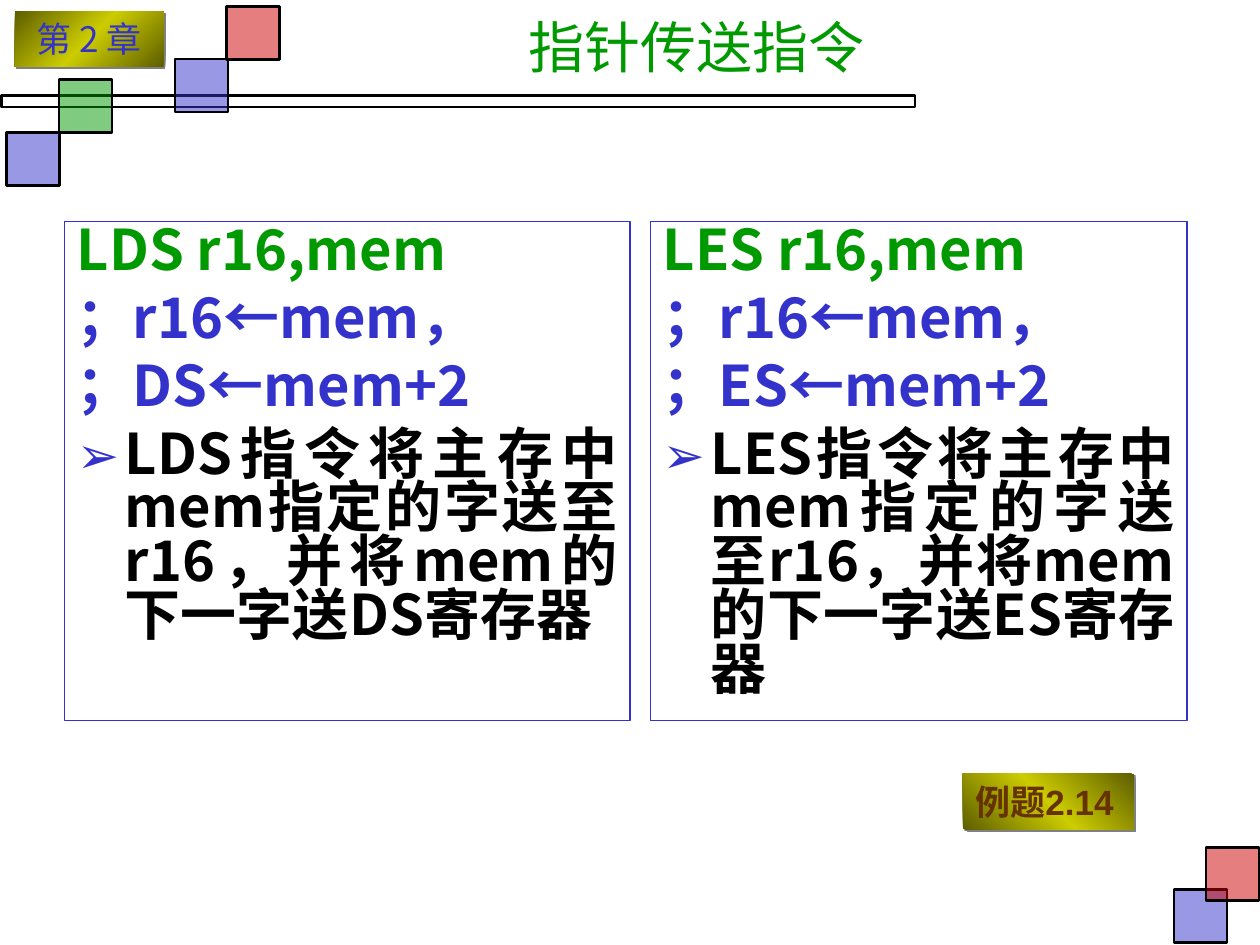
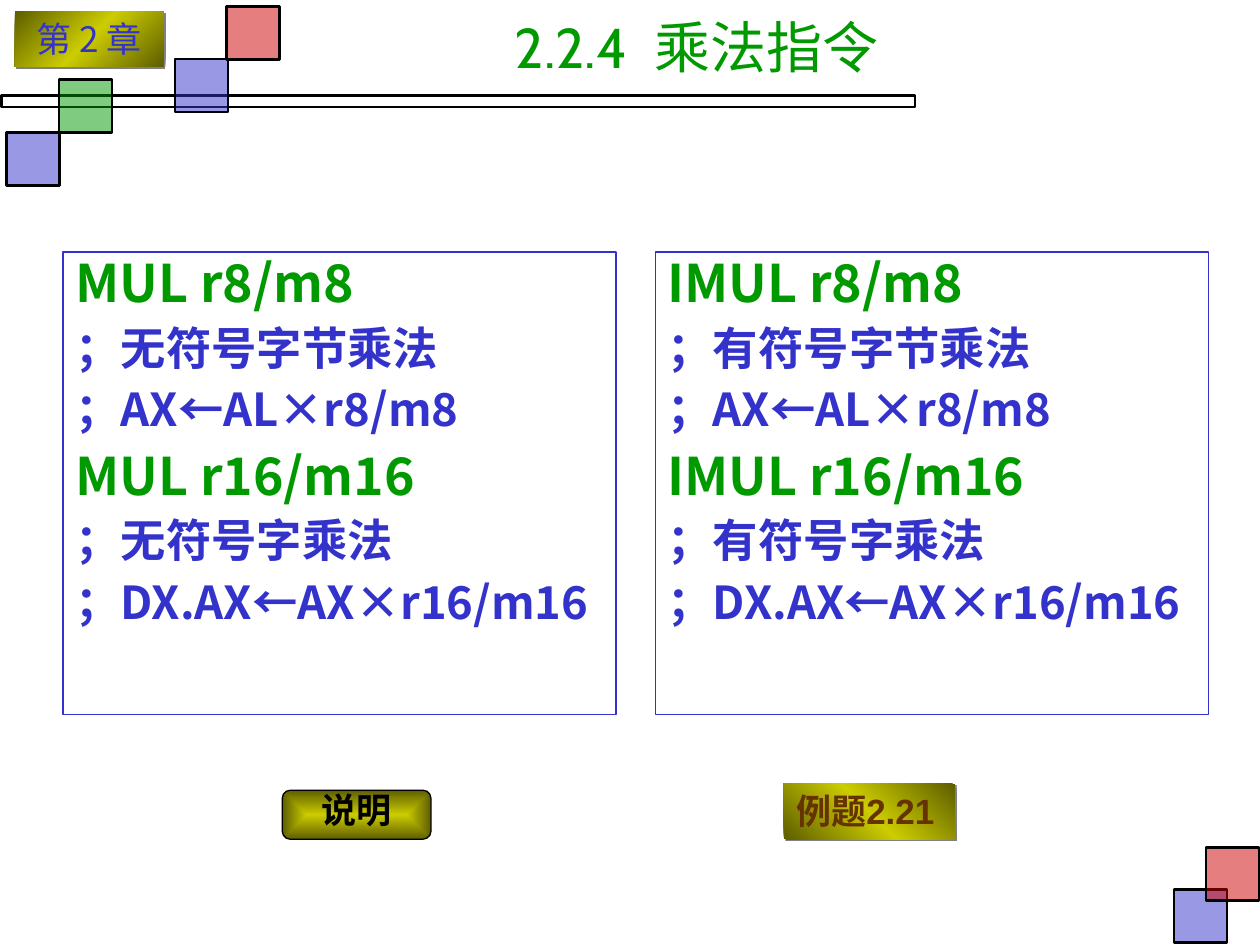
from lxml import etree
from pptx import Presentation
from pptx.dml.color import RGBColor
from pptx.enum.shapes import MSO_SHAPE
from pptx.enum.text import MSO_ANCHOR, PP_ALIGN
from pptx.oxml import parse_xml
from pptx.oxml.ns import qn
from pptx.util import Cm, Pt

RECTANGLE = MSO_SHAPE.RECTANGLE
ROUNDED = MSO_SHAPE.ROUNDED_RECTANGLE
TOP, MIDDLE = MSO_ANCHOR.TOP, MSO_ANCHOR.MIDDLE
LEFT, CENTER, JUSTIFY = PP_ALIGN.LEFT, PP_ALIGN.CENTER, PP_ALIGN.JUSTIFY

COLORS = {
    "white": "FFFFFF",
    "black": "000000",
    "blue": "3333CC",
    "green": "009900",
    "red": "CC0000",
    "brown": "663300",
    "gold": "CCCC00",
    "olive": "5E5E00",
    "shadow": "808080",
}
BODY_FONT = "Noto Sans CJK SC"
CHAPTER_FONT = "Noto Sans CJK JP"
TITLE_FONT = "Cabin"
BUTTON_FONT = "Arial"
NAMESPACE = 'xmlns:a="http://schemas.openxmlformats.org/drawingml/2006/main"'
DIAGONAL_STOPS = [(0, "olive"), (50, "gold"), (100, "olive")]
CENTER_STOPS = [(0, "gold"), (100, "olive")]
CENTER_PATH = (
    '<a:path path="rect"><a:fillToRect l="50000" t="50000" r="50000" b="50000"/></a:path>'
)
SQUARE = 1.07
SQUARES = [
    (23.67, 17.93, "blue"),
    (24.31, 17.09, "red"),
    (3.53, 1.19, "blue"),
    (0.13, 2.67, "blue"),
    (1.19, 1.6, "green"),
    (4.57, 0.13, "red"),
]
HANGING = Cm(0.97)


def rgb(name):
    return RGBColor.from_string(COLORS[name])


def add_box(slide, box, kind=RECTANGLE, fill=None, line=None, width=0.75):
    shape = slide.shapes.add_shape(kind, *map(Cm, box))
    shape.shadow.inherit = False
    if fill:
        shape.fill.solid()
        shape.fill.fore_color.rgb = rgb(fill)
    else:
        shape.fill.background()
    if line:
        shape.line.color.rgb = rgb(line)
        shape.line.width = Pt(width)
    else:
        shape.line.fill.background()
    return shape


def set_gradient(shape, stops, direction):
    stop_xml = "".join(
        f'<a:gs pos="{position * 1000}"><a:srgbClr val="{COLORS[color]}"/></a:gs>'
        for position, color in stops
    )
    properties = shape.element.spPr
    gradient = parse_xml(
        f'<a:gradFill {NAMESPACE} rotWithShape="1"><a:gsLst>{stop_xml}</a:gsLst>'
        f"{direction}</a:gradFill>"
    )
    properties.replace(properties.find(qn("a:noFill")), gradient)


def set_shadow(shape):
    effects = shape.element.spPr.find(qn("a:effectLst"))
    effects.append(parse_xml(
        f'<a:outerShdw {NAMESPACE} blurRad="0" dist="17780" dir="2700000" algn="ctr">'
        f'<a:srgbClr val="{COLORS["shadow"]}"/></a:outerShdw>'
    ))


def add_run(paragraph, text, size, font, color, bold=False):
    run = paragraph.add_run()
    run.text = text
    run.font.size = Pt(size)
    run.font.name = font
    run.font.bold = bold
    run.font.color.rgb = rgb(color)
    east_asian = font if font.startswith("Noto") else BODY_FONT
    etree.SubElement(run.font._element, qn("a:ea"), typeface=east_asian)
    return run


def prepare_text(shape, alignment, anchor=TOP, wrap=True):
    frame = shape.text_frame
    frame.word_wrap = wrap
    frame.vertical_anchor = anchor
    frame.paragraphs[0].alignment = alignment
    return frame.paragraphs[0]


def add_badge(slide, box, text, angle, alignment, wrap, **style):
    badge = add_box(slide, box)
    set_gradient(badge, DIAGONAL_STOPS, f'<a:lin ang="{angle * 60000}" scaled="1"/>')
    set_shadow(badge)
    add_run(prepare_text(badge, alignment, wrap=wrap), text, 20, **style)


def add_frame(slide):
    add_box(slide, (0.03, 1.93, 18.42, 0.23), line="black", width=1.5)
    for left, top, color in SQUARES:
        square = add_box(slide, (left, top, SQUARE, SQUARE), fill=color, line="black", width=1.5)
        color_element = square.element.spPr.find(qn("a:solidFill"))[0]
        etree.SubElement(color_element, qn("a:alpha"), val="50000")
    add_badge(slide, (0.3, 0.23, 3, 1.12), "第 2 章", 45, CENTER, True,
              font=CHAPTER_FONT, color="blue")


def add_title(slide, text, number=None):
    title = slide.shapes.add_textbox(*map(Cm, (5.69, 0.15, 16.71, 1.57)))
    paragraph = prepare_text(title, CENTER, MIDDLE)
    if number:
        add_run(paragraph, number, 32, TITLE_FONT, "green")
        gap = add_run(paragraph, " ", 32, TITLE_FONT, "green")
        gap.font._element.set("spc", "800")
    add_run(paragraph, text, 32, TITLE_FONT, "green")


def add_bullet(properties):
    color = etree.SubElement(properties, qn("a:buClr"))
    etree.SubElement(color, qn("a:srgbClr"), val=COLORS["blue"])
    etree.SubElement(properties, qn("a:buSzPct"), val="90000")
    etree.SubElement(properties, qn("a:buFont"), typeface=BODY_FONT)
    etree.SubElement(properties, qn("a:buChar"), char="➢")


def add_panel(slide, box, lines, styles, line_spacing, fill=None):
    panel = add_box(slide, box, fill=fill, line="blue")
    paragraph = prepare_text(panel, JUSTIFY)
    for index, (role, text) in enumerate(lines):
        if index:
            paragraph = panel.text_frame.add_paragraph()
        color, size, space_before = styles[role]
        paragraph.alignment = JUSTIFY
        paragraph.line_spacing = line_spacing
        paragraph.space_before = Pt(space_before)
        properties = paragraph._p.get_or_add_pPr()
        properties.set("marL", str(HANGING))
        properties.set("indent", str(-HANGING))
        if role == "bullet":
            add_bullet(properties)
        add_run(paragraph, text, size, BODY_FONT, color, True)


def add_example(slide, left, top, number):
    add_badge(slide, (left, top, 3.45, 1.12), f"例题{number}", 315, LEFT, False,
              font=BUTTON_FONT, color="brown", bold=True)


def add_note_button(slide, box):
    button = add_box(slide, box, ROUNDED, line="black")
    set_gradient(button, CENTER_STOPS, CENTER_PATH)
    paragraph = prepare_text(button, CENTER, MIDDLE, False)
    paragraph.line_spacing = 0.7
    add_run(paragraph, "说明", 20, BUTTON_FONT, "black", True)


def build_pointer_slide(slide):
    add_frame(slide)
    add_title(slide, "指针传送指令")
    styles = {"code": ("green", 32, 8), "comment": ("blue", 32, 8), "bullet": ("black", 32, 8)}
    for segment, left, width in [("DS", 1.3, 11.4), ("ES", 13.11, 10.82)]:
        lines = [
            ("code", f"L{segment} r16,mem"),
            ("comment", "；r16←mem，"),
            ("comment", f"；{segment}←mem+2"),
            ("bullet", f"L{segment}指令将主存中mem指定的字送至r16，并将mem的下一字送{segment}寄存器"),
        ]
        add_panel(slide, (left, 4.47, width, 10.06), lines, styles, 0.8)
    add_example(slide, 19.41, 15.6, "2.14")


def build_multiply_slide(slide):
    add_frame(slide)
    add_title(slide, "乘法指令", "2.2.4")
    styles = {"code": ("green", 29.6, 8), "comment": ("blue", 25.9, 7)}
    for instruction, sign, left in [("MUL", "无", 1.27), ("IMUL", "有", 13.21)]:
        lines = [
            ("code", f"{instruction} r8/m8"),
            ("comment", f"；{sign}符号字节乘法"),
            ("comment", "；AX←AL×r8/m8"),
            ("code", f"{instruction} r16/m16"),
            ("comment", f"；{sign}符号字乘法"),
            ("comment", "；DX.AX←AX×r16/m16"),
        ]
        add_panel(slide, (left, 5.08, 11.15, 9.32), lines, styles, 0.9, "white")
    add_example(slide, 15.8, 15.8, "2.21")
    add_note_button(slide, (5.69, 15.93, 3, 0.99))


def main():
    presentation = Presentation()
    presentation.slide_width = Cm(25.4)
    presentation.slide_height = Cm(19.05)
    for build in (build_pointer_slide, build_multiply_slide):
        build(presentation.slides.add_slide(presentation.slide_layouts[6]))
    presentation.save("out.pptx")


if __name__ == "__main__":
    main()
